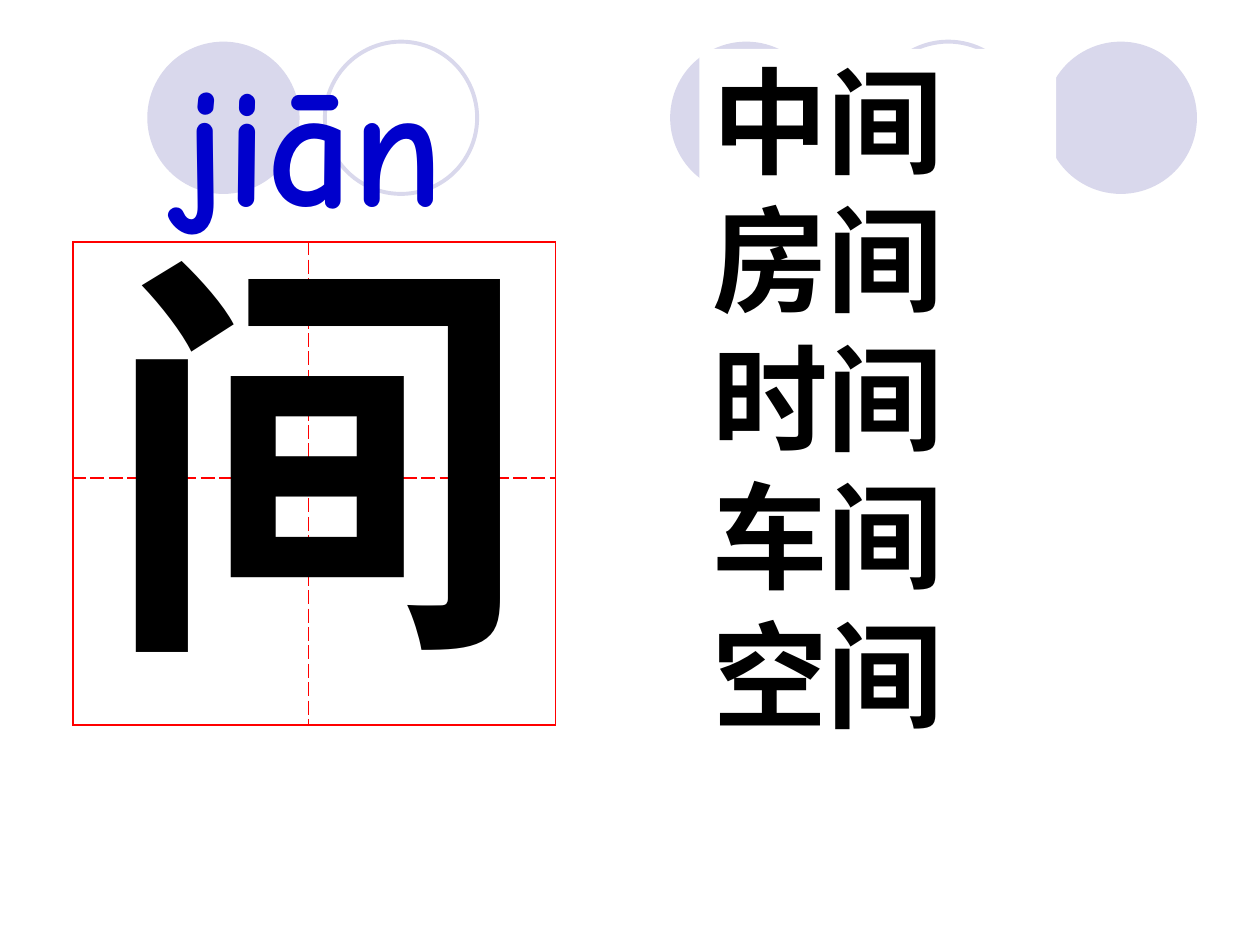
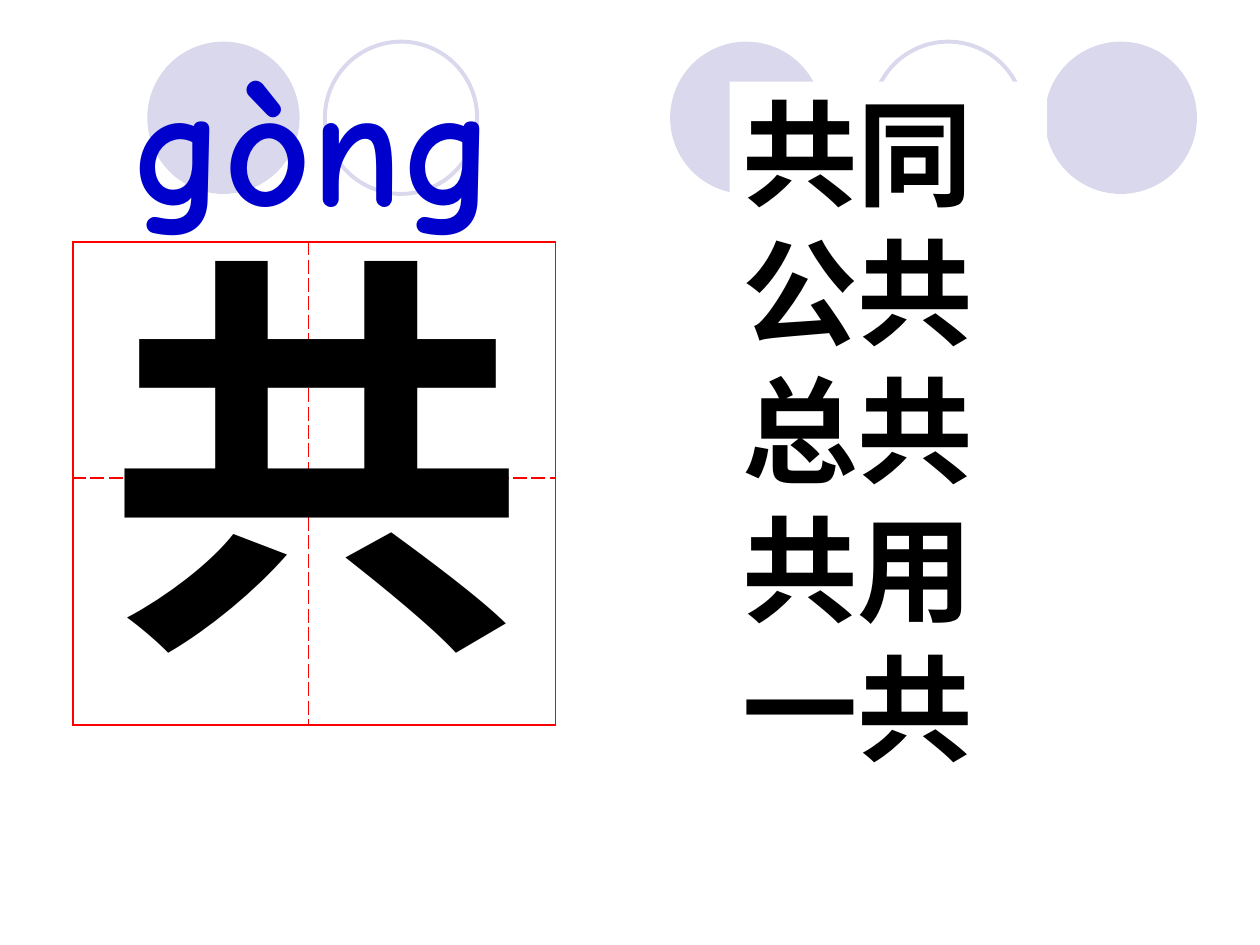
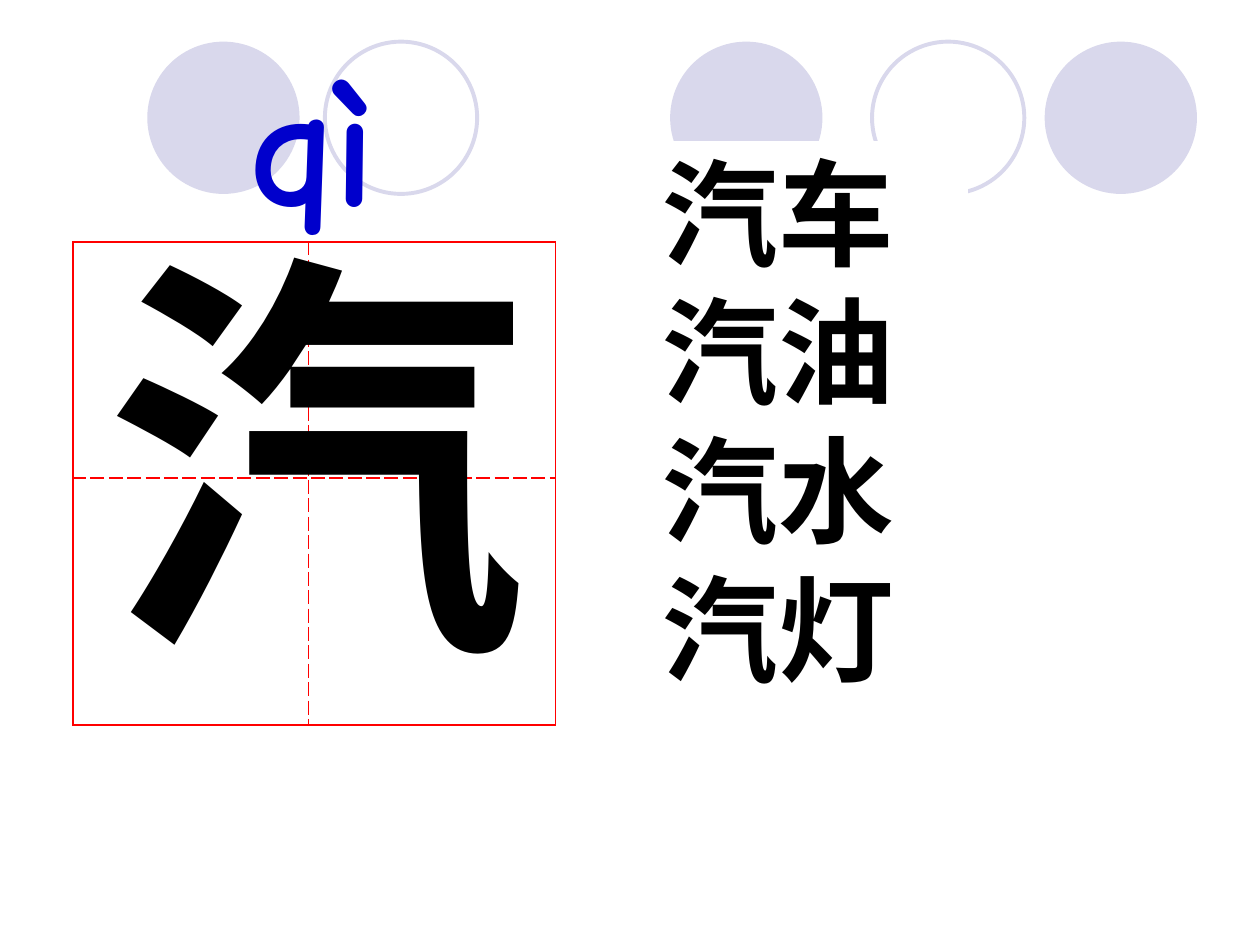
"""Build three Chinese character cards with pinyin, writing grid and word list."""
from lxml import etree
from pptx import Presentation
from pptx.dml.color import RGBColor
from pptx.enum.lang import MSO_LANGUAGE_ID
from pptx.enum.shapes import MSO_SHAPE
from pptx.enum.text import MSO_ANCHOR, MSO_AUTO_SIZE, PP_ALIGN
from pptx.oxml.ns import qn
from pptx.util import Cm, Pt

OVAL = MSO_SHAPE.OVAL
TOP = MSO_ANCHOR.TOP
MIDDLE = MSO_ANCHOR.MIDDLE
GROW = MSO_AUTO_SIZE.SHAPE_TO_FIT_TEXT
LEFT = PP_ALIGN.LEFT
CENTER = PP_ALIGN.CENTER
CHINESE = MSO_LANGUAGE_ID.SIMPLIFIED_CHINESE

COLOURS = {"circle": "D9D8EC", "grid": "FF0000", "paper": "FFFFFF",
           "pinyin": "0000CC", "ink": "000000"}
CIRCLES = [(2.97, True), (6.55, False), (13.51, True), (17.58, False), (21.06, True)]
GRID_SIZES = [4.75, 4.98]
CARDS = [
    ("jiān", "间", ["中间", "房间", "时间", "车间", "空间"], (14.1, 0.86, 7.19)),
    ("gòng", "共", ["共同", "公共", "总共", "共用", "一共"], (14.71, 1.52, 6.4)),
    ("qì", "汽", ["汽车", "汽油", "汽水", "汽灯"], (13.11, 2.72, 6.4)),
]


def write(paragraph, text, size, font_name, colour, alignment=LEFT):
    paragraph.alignment = alignment
    paragraph.line_spacing = 1.0
    paragraph.space_before = Pt(0)
    run = paragraph.add_run()
    run.text = text
    run.font.size = Pt(size)
    run.font.name = font_name
    run.font.bold = True
    run.font.color.rgb = RGBColor.from_string(COLOURS[colour])
    if font_name == "Arial":
        run.font.language_id = CHINESE


def place(shape, left, top, width, height, anchor, wrap=True):
    shape.left, shape.top, shape.width, shape.height = Cm(left), Cm(top), Cm(width), Cm(height)
    shape.text_frame.word_wrap = wrap
    shape.text_frame.auto_size = GROW
    shape.text_frame.vertical_anchor = anchor


presentation = Presentation()
presentation.slide_width = Cm(25.4)
presentation.slide_height = Cm(19.05)
layout = presentation.slide_layouts[1]
slides = [presentation.slides.add_slide(layout) for card in CARDS]

for index, (left, filled) in enumerate(CIRCLES):
    circle = slides[0].shapes.add_shape(OVAL, Cm(left), Cm(0.84), Cm(3.07), Cm(3.07))
    circle.shadow.inherit = False
    if filled:
        circle.fill.solid()
        circle.fill.fore_color.rgb = RGBColor.from_string(COLOURS["circle"])
        circle.line.fill.background()
    else:
        circle.fill.background()
        circle.line.color.rgb = RGBColor.from_string(COLOURS["circle"])
        circle.line.width = Pt(2.25)
    circle.element.nvSpPr.cNvPr.set("id", str(100 + index))
    layout.shapes.element.insert(2 + index, circle.element)

for slide, (pinyin, character, words, (left, top, width)) in zip(slides, CARDS):
    title = slide.shapes.title
    place(title, 2.11, 0.64, 8.41, 4.32, TOP)
    write(title.text_frame.paragraphs[0], pinyin, 96, "Comic Neue", "pinyin", CENTER)

    word_list = slide.placeholders[1]
    place(word_list, left, top, width, 2.8 * len(words) + 0.25, MIDDLE)
    word_list.fill.solid()
    word_list.fill.fore_color.rgb = RGBColor.from_string(COLOURS["paper"])
    for index, word in enumerate(words):
        frame = word_list.text_frame
        paragraph = frame.add_paragraph() if index else frame.paragraphs[0]
        properties = paragraph._p.get_or_add_pPr()
        properties.set("marL", "0")
        properties.set("indent", "0")
        etree.SubElement(properties, qn("a:buNone"))
        write(paragraph, word, 66, "Arial", "ink")

    grid_side = Cm(sum(GRID_SIZES))
    grid = slide.shapes.add_table(2, 2, Cm(1.47), Cm(4.88), grid_side, grid_side).table
    grid.first_row = False
    grid.horz_banding = False
    for row, size in enumerate(GRID_SIZES):
        grid.rows[row].height = Cm(size)
        grid.columns[row].width = Cm(size)
        for column in range(2):
            cell = grid.cell(row, column)
            cell.fill.solid()
            cell.fill.fore_color.rgb = RGBColor.from_string(COLOURS["paper"])
            cell_properties = cell._tc.get_or_add_tcPr()
            inner_sides = {"L": column == 1, "R": column == 0, "T": row == 1, "B": row == 0}
            for index, (side, inner) in enumerate(inner_sides.items()):
                border = etree.Element(qn(f"a:ln{side}"), w=str(Pt(1.08)))
                fill = etree.SubElement(border, qn("a:solidFill"))
                etree.SubElement(fill, qn("a:srgbClr"), val=COLOURS["grid"])
                etree.SubElement(border, qn("a:prstDash"), val="dash" if inner else "solid")
                cell_properties.insert(index, border)

    character_box = slide.shapes.add_textbox(0, 0, 0, 0)
    place(character_box, 1.9, 3.81, 8.97, 10.41, TOP, wrap=False)
    write(character_box.text_frame.paragraphs[0], character, 240, "Arial", "ink")

presentation.save("out.pptx")
